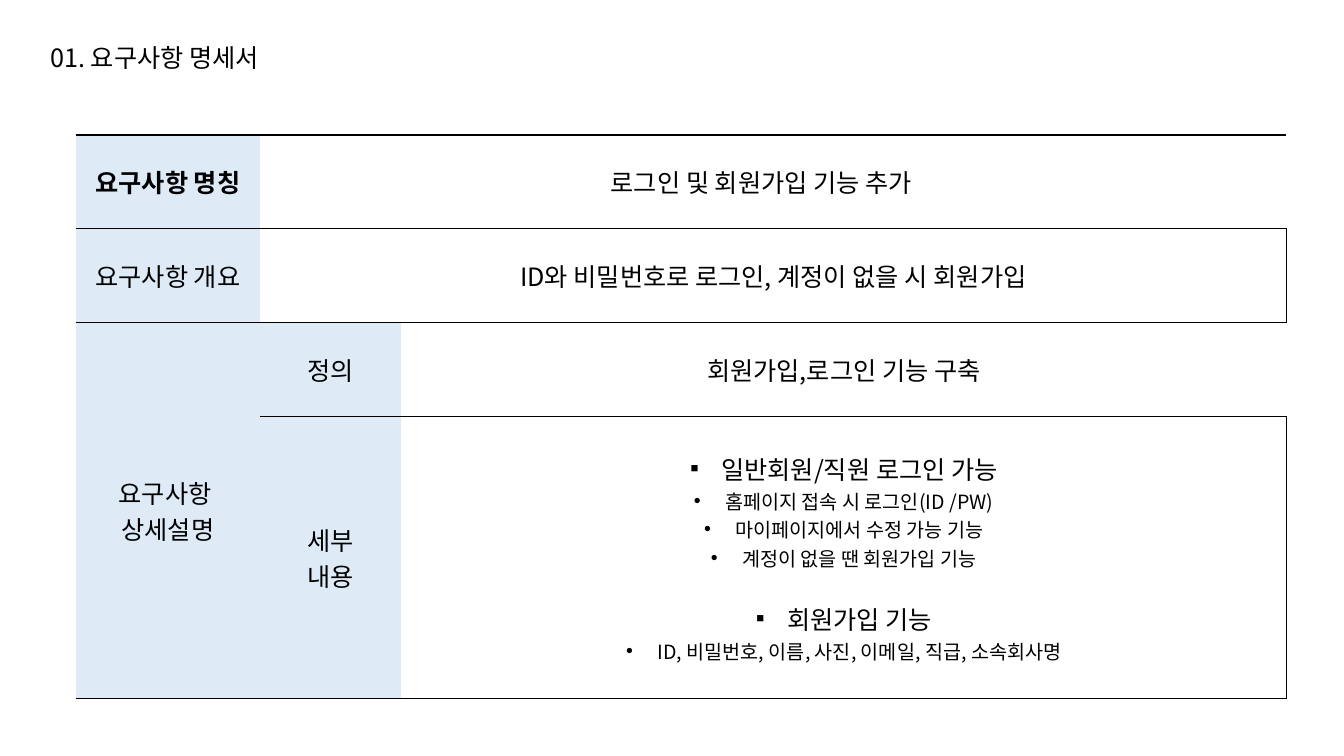
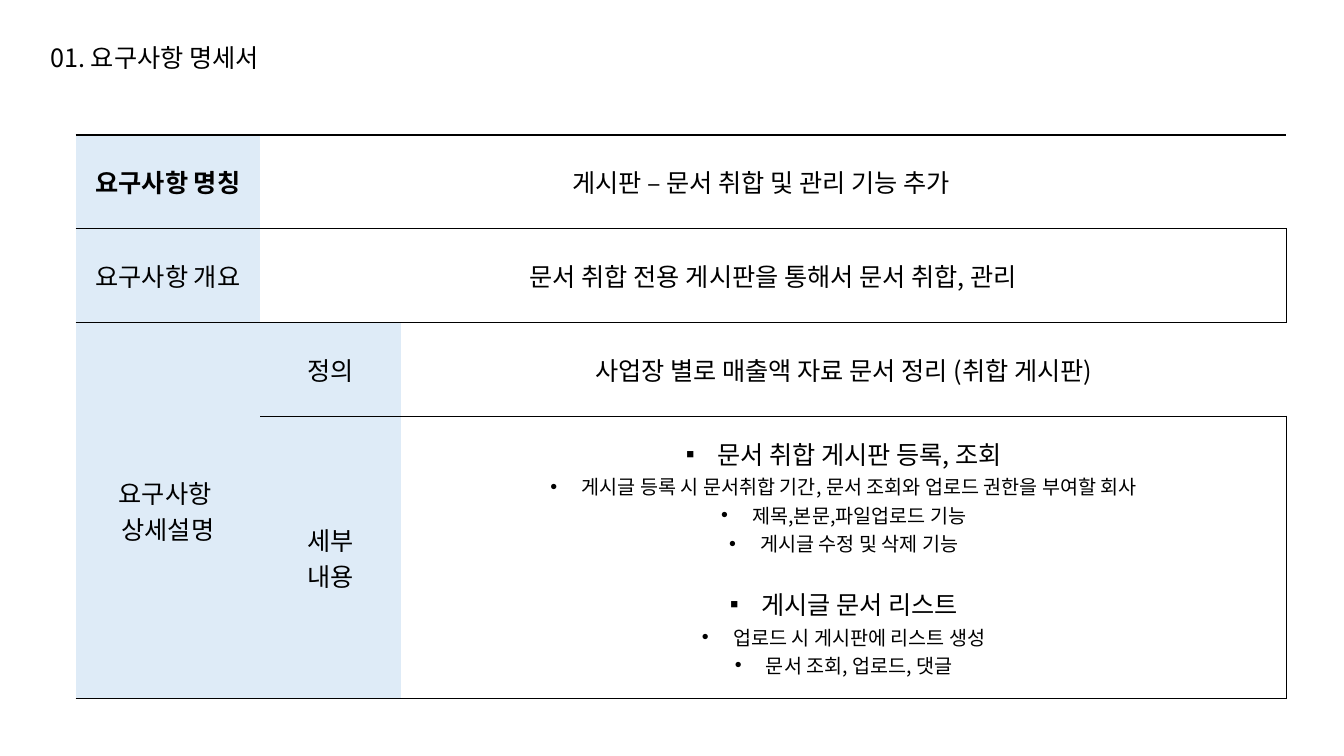
"""Build two requirement sheets, each a title above a specification table."""
from dataclasses import dataclass

from lxml import etree
from pptx import Presentation
from pptx import util as u
from pptx.dml.color import RGBColor
from pptx.enum import text
from pptx.oxml import ns


@dataclass(frozen=True)
class Theme:
    """Colours, font and type sizes shared by the slides."""
    font: str = "Noto Sans CJK KR"
    ink: str = "000000"
    label: str = "DEEBF7"
    paper: str = "FFFFFF"
    main: int = 18
    small: int = 14
    rule: float = 1
    gap: int = 20
    indent: float = 0.31


THEME = Theme()
TITLE = "01. 요구사항 명세서"
COLS = (1.83, 1.4, 8.54, 0.23)
ROWS = (0.93, 0.93, 0.93, 2.8)
MERGES = (((0, 1), (0, 2)), ((1, 1), (1, 3)), ((2, 0), (3, 0)),
          ((2, 2), (2, 3)), ((3, 2), (3, 3)))
BOXED = (1, 3)
LABELS = {
    (0, 0): ["요구사항 명칭"],
    (1, 0): ["요구사항 개요"],
    (2, 0): ["요구사항 ", "상세설명"],
    (2, 1): ["정의"],
    (3, 1): ["세부", "내용"],
}
SHEETS = (
    {
        "name": "로그인 및 회원가입 기능 추가",
        "brief": "ID와 비밀번호로 로그인, 계정이 없을 시 회원가입",
        "scope": "회원가입,로그인 기능 구축",
        "parts": (
            ("일반회원/직원 로그인 가능",
             ("홈페이지 접속 시 로그인(ID /PW)",
              "마이페이지에서 수정 가능 기능",
              "계정이 없을 땐 회원가입 기능")),
            ("회원가입 기능",
             ("ID, 비밀번호, 이름, 사진, 이메일, 직급, 소속회사명",)),
        ),
    },
    {
        "name": "게시판 – 문서 취합 및 관리 기능 추가",
        "brief": "문서 취합 전용 게시판을 통해서 문서 취합, 관리",
        "scope": "사업장 별로 매출액 자료 문서 정리 (취합 게시판)",
        "parts": (
            ("문서 취합 게시판 등록, 조회",
             ("게시글 등록 시 문서취합 기간, 문서 조회와 업로드 권한을 부여할 회사",
              "제목,본문,파일업로드 기능",
              "게시글 수정 및 삭제 기능")),
            ("게시글 문서 리스트",
             ("업로드 시 게시판에 리스트 생성",
              "문서 조회, 업로드, 댓글")),
        ),
    },
)


def add_node(parent, tag, **attrs):
    """Append a DrawingML element and return it."""
    return etree.SubElement(parent, ns.qn(tag), attrs)


def add_run(para, words, size=THEME.main, bold=False):
    """Add one styled run, with its font set for Hangul too."""
    run = para.add_run()
    run.text = words
    font = run.font
    font.size, font.bold, font.name = u.Pt(size), bold, THEME.font
    font.color.rgb = RGBColor.from_string(THEME.ink)
    add_node(run.font._element, "a:ea", typeface=THEME.font)


def next_para(frame):
    """Return the unused first paragraph, or a new one."""
    first = frame.paragraphs[0]
    return frame.add_paragraph() if first.runs else first


def add_lines(cell, lines, bold=False):
    """Write centred lines in a cell."""
    for line in lines:
        para = next_para(cell.text_frame)
        para.alignment = text.PP_ALIGN.CENTER
        add_run(para, line, bold=bold)


def add_bullet(frame, words, mark, size, before=0):
    """Write one centred bullet paragraph."""
    para = next_para(frame)
    para.alignment = text.PP_ALIGN.CENTER
    para.space_before = u.Pt(before)
    props = para._p.get_or_add_pPr()
    indent = u.Inches(THEME.indent)
    props.set("marL", str(indent))
    props.set("indent", str(-indent))
    add_node(props, "a:buFont", typeface="Arial")
    add_node(props, "a:buChar", char=mark)
    add_run(para, words, size)


def add_parts(cell, parts):
    """Write each heading with its detail bullets."""
    for num, (head, items) in enumerate(parts):
        add_bullet(cell.text_frame, head, "▪", THEME.main,
                   THEME.gap if num else 0)
        for item in items:
            add_bullet(cell.text_frame, item, "•", THEME.small)


def set_edges(cell, sides):
    """Rule the named sides of a cell and clear the others."""
    props = cell._tc.get_or_add_tcPr()
    for side in "LRTB":
        line = add_node(props, f"a:ln{side}", w=str(u.Pt(THEME.rule)))
        if side in sides:
            fill = add_node(line, "a:solidFill")
            add_node(fill, "a:srgbClr", val=THEME.ink)
        else:
            add_node(line, "a:noFill")


def style_cell(cell, row, col):
    """Set the edges, fill and anchor that a cell's place calls for."""
    sides = "B" if (row, col) == (3, 0) else "TB"
    last = col == len(COLS) - 1
    if row in BOXED and (last or (cell.is_merge_origin and col)):
        sides += "R"
    set_edges(cell, sides)
    cell.fill.solid()
    shade = col == 0 or (row, col) in LABELS
    tint = THEME.label if shade else THEME.paper
    cell.fill.fore_color.rgb = RGBColor.from_string(tint)
    cell.vertical_anchor = text.MSO_ANCHOR.MIDDLE


def add_title(slide):
    """Place the slide title."""
    box = slide.shapes.add_textbox(u.Inches(0.4), u.Inches(0.37),
                                   u.Inches(2.91), u.Inches(0.4))
    frame = box.text_frame
    frame.word_wrap = True
    frame.auto_size = text.MSO_AUTO_SIZE.SHAPE_TO_FIT_TEXT
    add_run(frame.paragraphs[0], TITLE)


def add_grid(slide):
    """Place the merged and styled table, and return it."""
    table = slide.shapes.add_table(
        len(ROWS), len(COLS), u.Inches(0.75), u.Inches(1.34),
        u.Inches(sum(COLS)), u.Inches(sum(ROWS))).table
    table.first_row = table.horz_banding = False
    for col, width in zip(table.columns, COLS):
        col.width = u.Inches(width)
    for row, height in zip(table.rows, ROWS):
        row.height = u.Inches(height)
    for start, end in MERGES:
        table.cell(*start).merge(table.cell(*end))
    for row in range(len(ROWS)):
        for col in range(len(COLS)):
            style_cell(table.cell(row, col), row, col)
    return table


def add_sheet(deck, sheet):
    """Add one requirement slide."""
    slide = deck.slides.add_slide(deck.slide_layouts[6])
    add_title(slide)
    table = add_grid(slide)
    for place, lines in LABELS.items():
        add_lines(table.cell(*place), lines, bold=place == (0, 0))
    for place, key in (((0, 1), "name"), ((1, 1), "brief"),
                       ((2, 2), "scope")):
        add_lines(table.cell(*place), [sheet[key]])
    add_parts(table.cell(3, 2), sheet["parts"])


def main():
    """Build and save the deck."""
    deck = Presentation()
    deck.slide_width, deck.slide_height = u.Inches(13.33), u.Inches(7.5)
    for sheet in SHEETS:
        add_sheet(deck, sheet)
    deck.save("out.pptx")


main()
